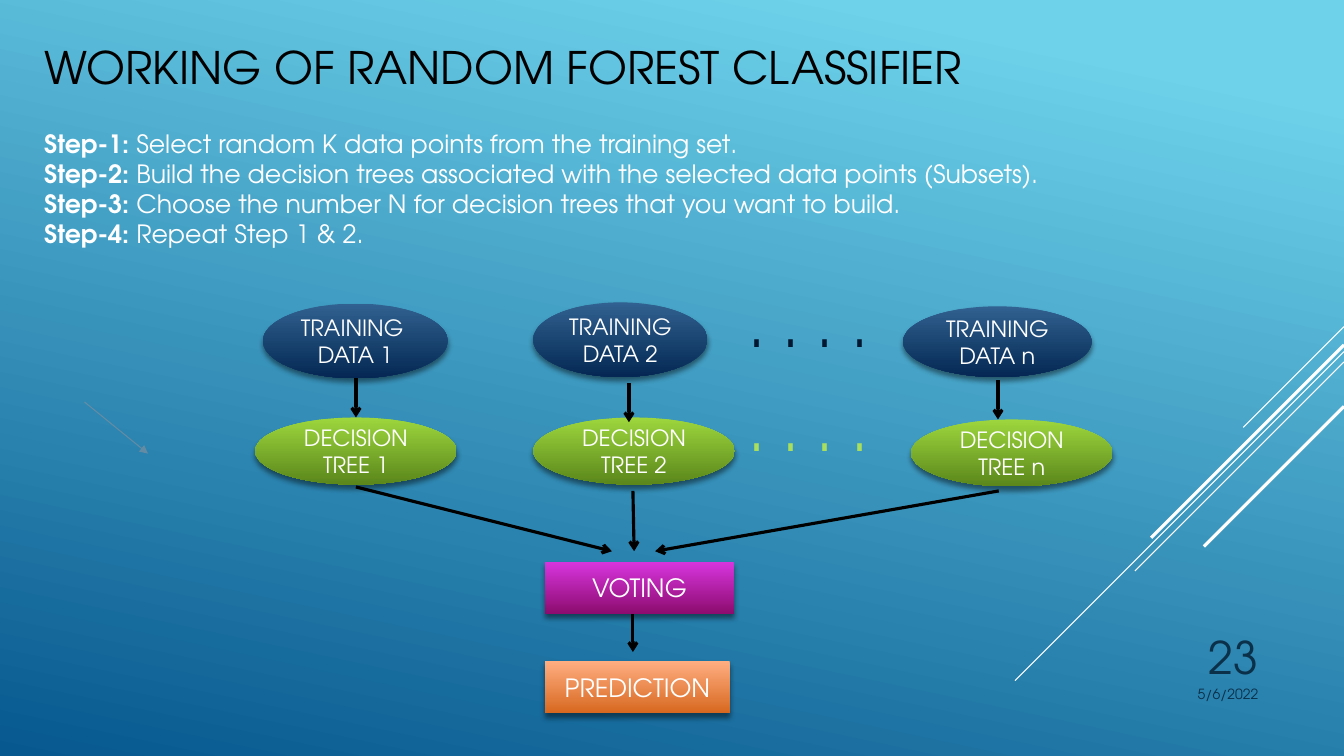
import dataclasses

import lxml.etree
import pptx
import pptx.dml.color
import pptx.enum.shapes
import pptx.enum.text
import pptx.oxml.ns
import pptx.util

Cm = pptx.util.Cm
Pt = pptx.util.Pt
Align = pptx.enum.text.PP_ALIGN
Anchor = pptx.enum.text.MSO_ANCHOR
Shape = pptx.enum.shapes.MSO_SHAPE


@dataclasses.dataclass(frozen=True)
class Theme:
    font: str = "TeX Gyre Adventor"
    title_size: int = 32
    body_size: int = 18
    node_size: int = 16
    dots_size: int = 44
    date_size: int = 10
    black: str = "000000"
    white: str = "FFFFFF"
    footer: str = "0A304A"
    faint: str = "89919C"
    navy_dots: str = "031730"
    green_dots: str = "AADF5E"
    sky: tuple = ("6ED2EB", "06588E")
    navy: tuple = ("316190", "042853")
    green: tuple = ("9DD63D", "5B871B")
    magenta: tuple = ("D835DF", "8D0C6F")
    orange: tuple = ("FFAE82", "D7681F")


@dataclasses.dataclass(frozen=True)
class Box:
    left: float
    top: float
    width: float
    height: float

    def inner(self, left, top, width, height):
        return Box(self.left + left, self.top + top, width, height)

    def point(self, across, down):
        return self.left + across, self.top + down

    def lengths(self):
        return Cm(self.left), Cm(self.top), Cm(self.width), Cm(self.height)


THEME = Theme()


def color(value):
    return pptx.dml.color.RGBColor.from_string(value)


def add_element(parent, tag, **attributes):
    element = lxml.etree.SubElement(parent, pptx.oxml.ns.qn(tag))
    for name, value in attributes.items():
        element.set(name, str(value))
    return element


def place(shape, box):
    shape.left, shape.top, shape.width, shape.height = box.lengths()


def add_span(para, text, size, tint, bold=False):
    span = para.add_run()
    span.text = text
    span.font.name = THEME.font
    span.font.size = Pt(size)
    span.font.bold = bold
    span.font.color.rgb = color(tint)


def fill_gradient(fill, tints, first=0, angle=270):
    fill.gradient()
    fill.gradient_angle = angle
    for stop, tint, position in zip(fill.gradient_stops, tints, (first, 1)):
        stop.color.rgb = color(tint)
        stop.position = position


def add_line(page, start, end, tint, width, head=None, opacity=None):
    line = page.shapes.add_connector(
        pptx.enum.shapes.MSO_CONNECTOR.STRAIGHT, *map(Cm, (*start, *end)))
    line.line.color.rgb = color(tint)
    line.line.width = Pt(width)
    outline = line.line._get_or_add_ln()
    if opacity:
        add_element(outline.find(".//" + pptx.oxml.ns.qn("a:srgbClr")), "a:alpha", val=opacity * 1000)
    if head:
        add_element(outline, "a:tailEnd", type=head)
    add_element(line._element.spPr, "a:effectLst")


def add_arrow(page, start, end):
    add_line(page, start, end, THEME.black, 2.25, "arrow")


def add_label(page, box, text, size, tint, align=Align.LEFT, anchor=Anchor.TOP, wrap=True):
    frame = page.shapes.add_textbox(*box.lengths()).text_frame
    frame.word_wrap = wrap
    frame.vertical_anchor = anchor
    para = frame.paragraphs[0]
    para.alignment = align
    add_span(para, text, size, tint)


def add_node(page, box, kind, text, tints, size):
    node = page.shapes.add_shape(kind, *box.lengths())
    fill_gradient(node.fill, tints)
    node.line.fill.background()
    node.shadow.inherit = False
    effects = node._element.spPr.find(pptx.oxml.ns.qn("a:effectLst"))
    shadow = add_element(effects, "a:outerShdw", blurRad=Pt(4), dist=Pt(3),
                         dir=5400000, algn="ctr", rotWithShape=0)
    add_element(add_element(shadow, "a:srgbClr", val=THEME.black), "a:alpha", val=46000)
    frame = node.text_frame
    frame.word_wrap = True
    frame.vertical_anchor = Anchor.MIDDLE
    for index, line in enumerate(text.split("\n")):
        para = frame.add_paragraph() if index else frame.paragraphs[0]
        para.alignment = Align.CENTER
        add_span(para, line, size, THEME.white)


def draw_streaks(page, box):
    right = box.left + box.width
    for top, reach, width in ((8.23, 2.54, 0.75), (8.86, 8.29, 0.75), (9.12, 5.27, 0.75),
                              (8.69, 4.86, 2.25), (10.24, 3.53, 2.25)):
        add_line(page, (right, top), (right - reach, top + reach), THEME.white, width)


def write_title(page, box):
    title = page.shapes.title
    place(title, box)
    frame = title.text_frame
    frame.auto_size = pptx.enum.text.MSO_AUTO_SIZE.NONE
    frame.vertical_anchor = Anchor.MIDDLE
    frame.paragraphs[0].alignment = Align.LEFT
    add_span(frame.paragraphs[0], "WORKING OF RANDOM FOREST CLASSIFIER", THEME.title_size, THEME.black)


def write_steps(page, box):
    body = page.placeholders[1]
    place(body, box)
    frame = body.text_frame
    frame.auto_size = pptx.enum.text.MSO_AUTO_SIZE.NONE
    steps = ("Select random K data points from the training set.",
             "Build the decision trees associated with the selected data points (Subsets).",
             "Choose the number N for decision trees that you want to build.",
             "Repeat Step 1 & 2.")
    for number, step in enumerate(steps, 1):
        para = frame.paragraphs[0] if number == 1 else frame.add_paragraph()
        para.alignment = Align.JUSTIFY
        para.space_before = Pt(0)
        properties = para._p.get_or_add_pPr()
        properties.set("marL", "0")
        properties.set("indent", "0")
        add_element(properties, "a:buNone")
        add_span(para, f"Step-{number}:", THEME.body_size, THEME.white, True)
        add_span(para, f" {step}", THEME.body_size, THEME.white)


def draw_forest(page, box):
    columns = (
        ("TRAINING \nDATA 1", (0.23, 0.05, 4.65, 1.88), "1", (0.03, 2.92), (2.57, 1.93)),
        ("TRAINING DATA 2", (7.04, 0.02, 4.39, 1.88), "2", (7.04, 2.92), (9.45, 2.05)),
        ("TRAINING DATA n", (16.36, 0.12, 4.75, 1.78), "n", (16.56, 2.97), (18.75, 1.98)))
    for data, data_place, name, tree_place, (across, down) in columns:
        add_node(page, box.inner(*data_place), Shape.OVAL, data, THEME.navy, THEME.node_size)
        add_node(page, box.inner(*tree_place, 5.08, 1.69), Shape.OVAL,
                 f"DECISION TREE {name}", THEME.green, THEME.node_size)
        add_arrow(page, box.point(across, down), box.point(across, down + 0.99))
    for top, tint in ((-0.51, THEME.navy_dots), (2.1, THEME.green_dots)):
        add_label(page, box.inner(12.22, top, 3.53, 2.13), ". . . .", THEME.dots_size, tint, wrap=False)


def draw_vote(page, box):
    for start, end in (((2.57, 0), (9.02, 1.62)), ((9.55, 0.1), (9.58, 1.62)),
                       ((18.77, 0.1), (10.11, 1.62)), ((9.55, 3.17), (9.55, 4.16))):
        add_arrow(page, box.point(*start), box.point(*end))
    for text, top, width, tints in (("VOTING", 1.88, 4.75, THEME.magenta),
                                    ("PREDICTION", 4.39, 4.65, THEME.orange)):
        add_node(page, box.inner(7.34, top, width, 1.32), Shape.RECTANGLE, text, tints, THEME.body_size)


def write_footer(page, box):
    add_label(page, box.inner(0, 1.66, 4.45, 1.02), "5/6/2022", THEME.date_size, THEME.footer, Align.RIGHT)
    add_label(page, box.inner(1.27, 0, 3.18, 1.85), "23", THEME.title_size, THEME.footer,
              Align.RIGHT, Anchor.BOTTOM)


def build_page(deck, box):
    page = deck.slides.add_slide(deck.slide_layouts[1])
    fill_gradient(page.background.fill, THEME.sky, 0.1, 258)
    draw_streaks(page, box)
    write_title(page, box.inner(0.86, 0.23, 27.91, 2.92))
    write_steps(page, box.inner(0.86, 3.1, 25.93, 4.11))
    draw_forest(page, box.inner(6.4, 7.6, 21.64, 4.67))
    draw_vote(page, box.inner(6.4, 12.27, 21.64, 5.71))
    add_line(page, box.point(2.13, 10.13), box.point(3.73, 11.43), THEME.faint, 0.75, "triangle", 60)
    write_footer(page, box.inner(27.51, 15.49, 4.45, 2.68))


def main():
    deck = pptx.Presentation()
    box = Box(0, 0, 33.87, 19.05)
    deck.slide_width, deck.slide_height = Cm(box.width), Cm(box.height)
    build_page(deck, box)
    deck.save("out.pptx")


if __name__ == "__main__":
    main()
